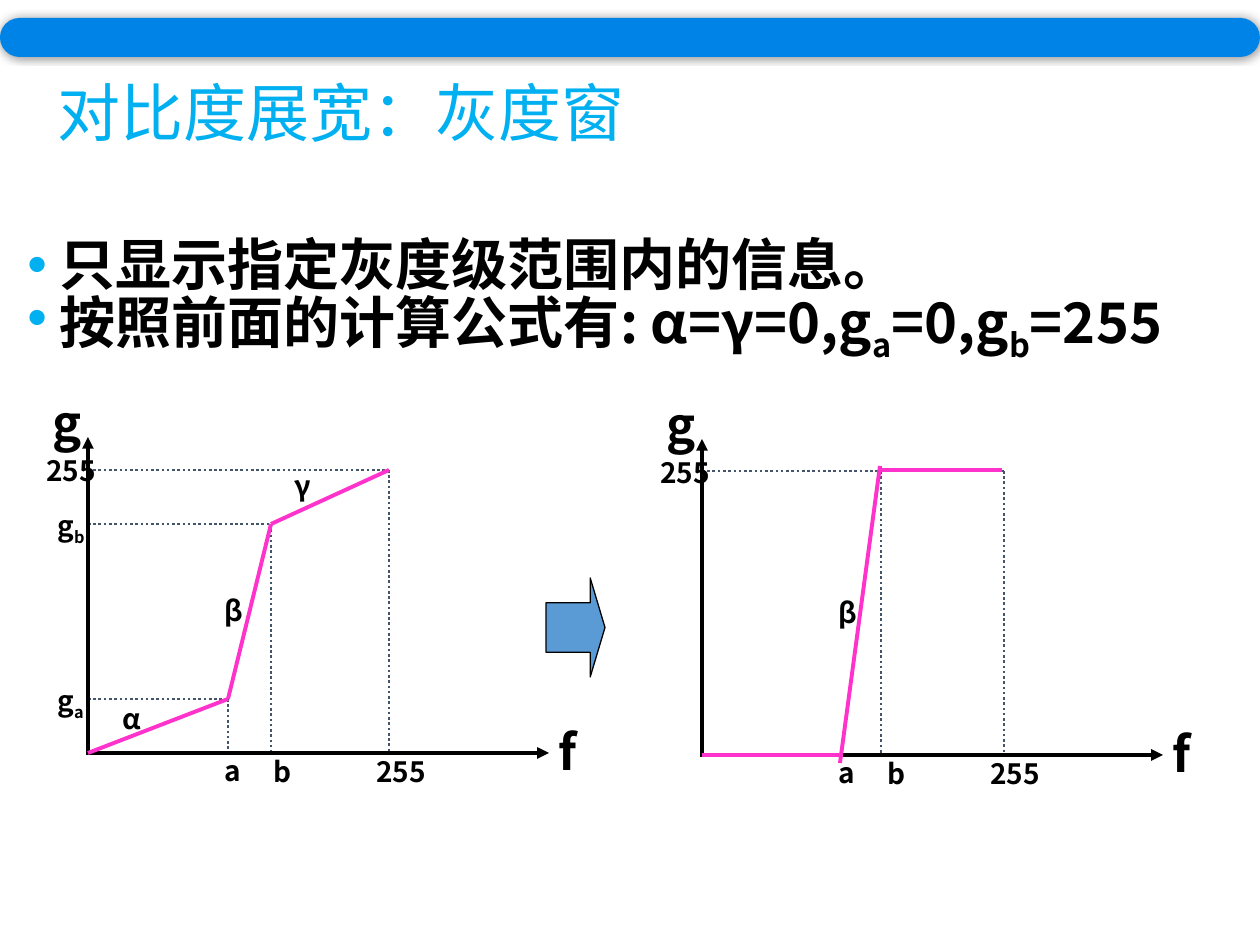
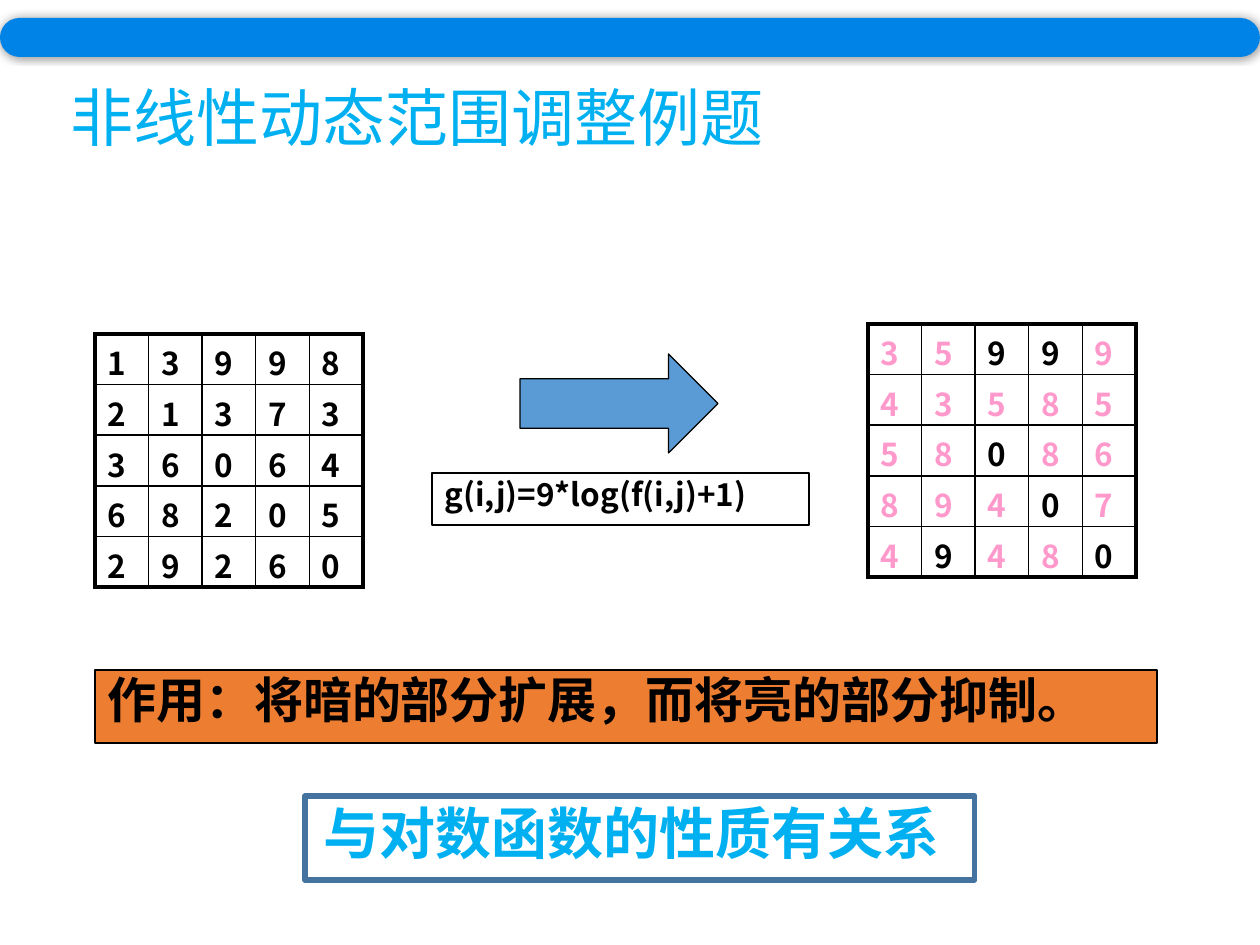
from dataclasses import dataclass

from lxml import etree
from pptx import Presentation
from pptx import util as u
from pptx.dml.color import RGBColor
from pptx.enum import dml, shapes, text
from pptx.oxml import ns


@dataclass(frozen=True)
class Theme:
    font: str = "Noto Sans CJK SC"
    ink: str = "000000"
    sky: str = "00B0F0"
    band: str = "0083E6"
    arrow: str = "5B9BD5"
    orange: str = "ED7D31"
    frame: str = "43739E"
    guide: str = "44546A"
    curve: str = "FF33CC"
    changed: str = "FF99CC"
    title: int = 36
    body: int = 32
    large: int = 28
    cell: int = 18
    label: int = 16
    spacing: float = 0.9


THEME = Theme()
WIDTH, HEIGHT = 1260, 945
BEFORE = [[1, 3, 9, 9, 8], [2, 1, 3, 7, 3], [3, 6, 0, 6, 4],
          [6, 8, 2, 0, 5], [2, 9, 2, 6, 0]]
AFTER = [[3, 5, 9, 9, 9], [4, 3, 5, 8, 5], [5, 8, 0, 8, 6],
         [8, 9, 4, 0, 7], [4, 9, 4, 8, 0]]


def px(length):
    return u.Emu(round(length * 914400 / 126))


def rgb(color):
    return RGBColor.from_string(color)


def add_xml(parent, tag, **attributes):
    return etree.SubElement(parent, ns.qn(tag), attributes)


def write(frame, content, size=THEME.label, color=THEME.ink, bold=True,
          spacing=(THEME.spacing,), bullet=False):
    frame.word_wrap = True
    frame.vertical_anchor = text.MSO_ANCHOR.TOP
    for row, line in enumerate(content.split("\n")):
        para = frame.add_paragraph() if row else frame.paragraphs[0]
        para.alignment = text.PP_ALIGN.LEFT
        para.line_spacing = spacing[row % len(spacing)]
        if bullet:
            add_bullet(para)
        for part, words in enumerate(line.split("~")):
            span = para.add_run()
            span.text = words
            span.font.size = u.Pt(size)
            span.font.bold = bold
            span.font.color.rgb = rgb(color)
            span.font.name = THEME.font
            properties = span._r.get_or_add_rPr()
            add_xml(properties, "a:ea", typeface=THEME.font)
            if part % 2:
                properties.set("baseline", "-25000")


def add_bullet(para):
    properties = para._p.get_or_add_pPr()
    properties.set("marL", str(px(32)))
    properties.set("indent", str(-px(32)))
    add_xml(add_xml(properties, "a:buClr"), "a:srgbClr", val=THEME.sky)
    add_xml(properties, "a:buFont", typeface="Arial")
    add_xml(properties, "a:buChar", char="•")


def add_label(page, box, content, **style):
    label = page.shapes.add_textbox(*map(px, box))
    write(label.text_frame, content, **style)
    return label


def add_block(page, kind, box, fill=None, line=None, weight=0.75):
    block = page.shapes.add_shape(kind, *map(px, box))
    block.shadow.inherit = False
    if fill:
        block.fill.solid()
        block.fill.fore_color.rgb = rgb(fill)
    else:
        block.fill.background()
    if line:
        block.line.color.rgb = rgb(line)
        block.line.width = u.Pt(weight)
    else:
        block.line.fill.background()
    return block


def add_line(page, start, end, color, weight, dotted=False, arrow=False):
    line = page.shapes.add_connector(shapes.MSO_CONNECTOR.STRAIGHT,
                                     *map(px, (*start, *end)))
    line.line.color.rgb = rgb(color)
    line.line.width = u.Pt(weight)
    if dotted:
        line.line.dash_style = dml.MSO_LINE.ROUND_DOT
    if arrow:
        add_xml(line.line._get_or_add_ln(), "a:tailEnd", type="triangle")
    add_xml(line._element.spPr, "a:effectLst")


def add_arrow(page, box, head):
    arrow = add_block(page, shapes.MSO_SHAPE.RIGHT_ARROW, box,
                      THEME.arrow, THEME.ink)
    arrow.adjustments[1] = head


def add_page(deck, title, box):
    page = deck.slides.add_slide(deck.slide_layouts[6])
    band = add_block(page, shapes.MSO_SHAPE.ROUNDED_RECTANGLE,
                     (0, 18, WIDTH, 39), THEME.band)
    band.adjustments[0] = 0.5
    effects = band._element.spPr.find(ns.qn("a:effectLst"))
    shadow = add_xml(effects, "a:outerShdw", blurRad=str(u.Pt(5)), dist="0",
                     dir="0", algn="ctr", rotWithShape="0")
    color = add_xml(shadow, "a:srgbClr", val=THEME.ink)
    add_xml(color, "a:alpha", val="40000")
    add_label(page, box, title, size=THEME.title, color=THEME.sky, bold=False)
    return page


def add_graph(page, origin, guides, curve, labels):
    def at(point):
        return origin[0] + point[0], origin[1] + point[1]

    for start, end in guides:
        add_line(page, at(start), at(end), THEME.guide, 1.5, dotted=True)
    for start, end in (((-2, 0), (461, 0)), ((0, 0), (0, -316))):
        add_line(page, at(start), at(end), THEME.ink, 2.25, arrow=True)
    for start, end in curve:
        add_line(page, at(start), at(end), THEME.curve, 2.25)
    common = [("255", 276, -1, 84), ("a", 124, -2, 33), ("b", 173, -1, 33),
              ("255", -54, -302, 115), ("β", 124, -162, 53)]
    for words, x, y, width in common + labels:
        add_label(page, (*at((x, y)), width, 47), words)
    for words, x, y, width in (("f", 458, -31, 54), ("g", -48, -360, 43)):
        add_label(page, (*at((x, y)), width, 72), words, size=THEME.large)


def add_grid(page, box, values, previous=None):
    rows, columns = len(values), len(values[0])
    table = page.shapes.add_table(rows, columns, *map(px, box)).table
    table.first_row = table.horz_banding = False
    for row, numbers in enumerate(values):
        for column, number in enumerate(numbers):
            cell = table.cell(row, column)
            cell.margin_top, cell.margin_bottom = px(9), px(0)
            changed = previous and previous[row][column] != number
            write(cell.text_frame, str(number), size=THEME.cell,
                  color=THEME.changed if changed else THEME.ink)
            outer = {"L": column == 0, "R": column == columns - 1,
                     "T": row == 0, "B": row == rows - 1}
            for side, edge in outer.items():
                border = add_xml(cell._tc.get_or_add_tcPr(), f"a:ln{side}",
                                 w=str(u.Pt(2.25 if edge else 1)))
                fill = add_xml(border, "a:solidFill")
                add_xml(fill, "a:srgbClr", val=THEME.ink)
            cell.fill.background()


def build_window_page(deck):
    page = add_page(deck, "对比度展宽：灰度窗", (45, 76, 598, 165))
    rules = add_label(page, (15, 198, 1220, 223),
                      "只显示指定灰度级范围内的信息。\n"
                      "按照前面的计算公式有: α=γ=0,g~a~=0,g~b~=255",
                      size=THEME.body, spacing=(0.9, 0.75), bullet=True)
    rules.text_frame.margin_top = px(39)
    add_arrow(page, (546, 578, 59, 99), 0.25)

    zero, low, high, full = (0, 0), (140, -54), (183, -229), (301, -283)
    guides = [((0, y), (x, y)) for x, y in (low, high, full)]
    guides += [((x, y), (x, 0)) for x, y in (low, high, full)]
    add_graph(page, (88, 753), guides,
              [(zero, low), (low, high), (high, full)],
              [("g~a~", -43, -75, 54), ("g~b~", -43, -250, 54),
               ("α", 22, -54, 43), ("γ", 194, -287, 53)])
    add_graph(page, (702, 755),
              [((0, -284), (302, -284)), ((302, -284), (302, 0)),
               ((179, -289), (179, 0))],
              [(zero, (138, 0)), ((138, 8), (178, -289)),
               ((179, -285), (300, -285))], [])


def build_example_page(deck):
    page = add_page(deck, "非线性动态范围调整例题", (58, 81, 726, 165))
    add_grid(page, (95, 334, 268, 253), BEFORE)
    add_grid(page, (868, 324, 268, 253), AFTER, BEFORE)
    add_arrow(page, (520, 354, 198, 99), 0.5)
    rectangle = shapes.MSO_SHAPE.RECTANGLE
    formula = add_block(page, rectangle, (432, 473, 377, 52), line=THEME.ink)
    write(formula.text_frame, "g(i,j)=9*log(f(i,j)+1)", size=THEME.cell)
    effect = add_block(page, rectangle, (95, 670, 1062, 73),
                       THEME.orange, THEME.ink)
    write(effect.text_frame, "作用：将暗的部分扩展，而将亮的部分抑制。",
          size=THEME.large)
    add_block(page, rectangle, (305, 796, 670, 84), line=THEME.frame, weight=3)
    add_label(page, (311, 800, 646, 81), "与对数函数的性质有关系",
              size=THEME.body, color=THEME.sky)


def main():
    deck = Presentation()
    deck.slide_width, deck.slide_height = px(WIDTH), px(HEIGHT)
    build_window_page(deck)
    build_example_page(deck)
    deck.save("out.pptx")


if __name__ == "__main__":
    main()
